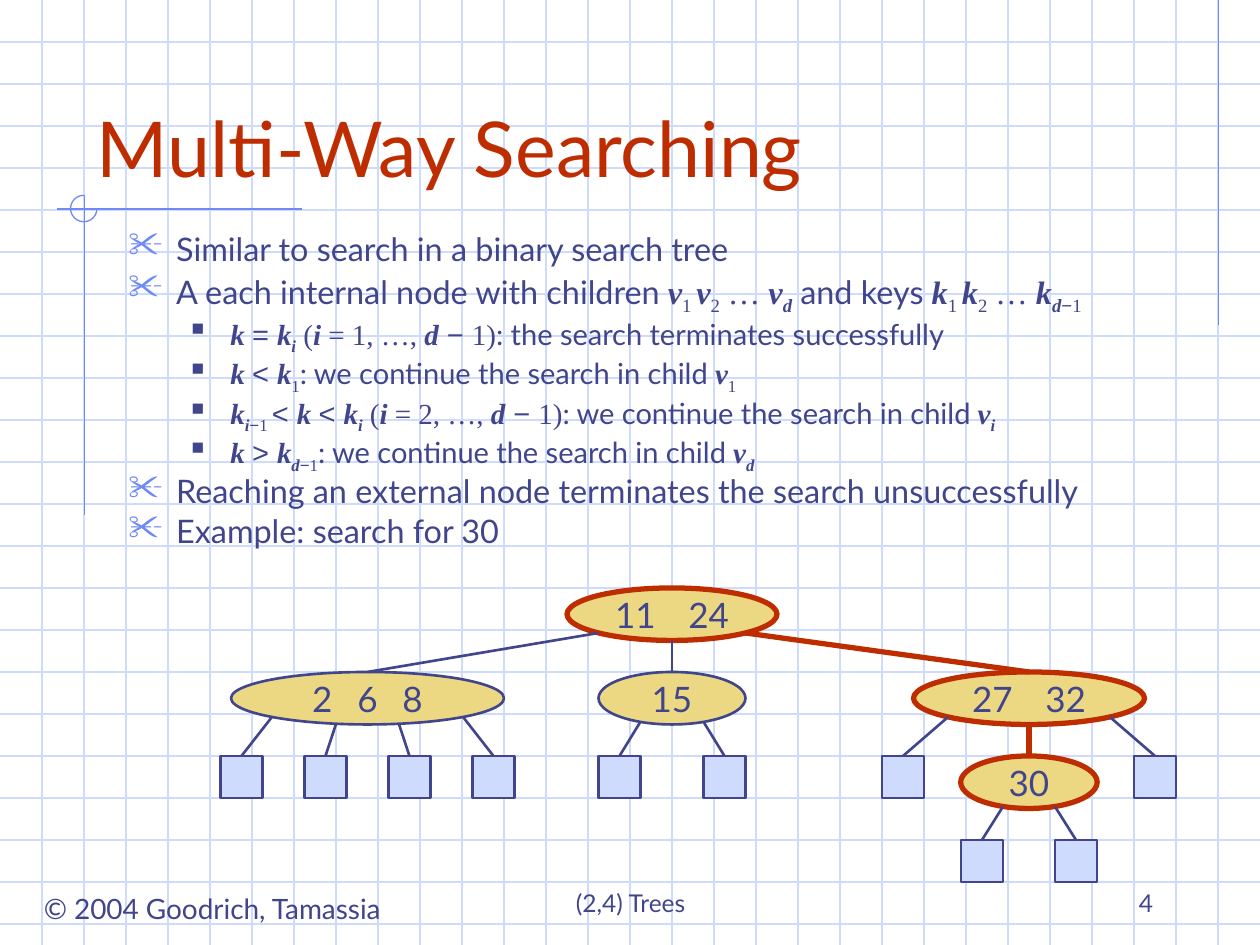
import math

import lxml.etree
import pptx
import pptx.dml.color
import pptx.enum.shapes
import pptx.enum.text
import pptx.oxml.ns
import pptx.util

Inches, Pt = pptx.util.Inches, pptx.util.Pt
ALIGN, ANCHOR = pptx.enum.text.PP_ALIGN, pptx.enum.text.MSO_ANCHOR
SHAPE = pptx.enum.shapes.MSO_SHAPE

# Content: text runs are (style, words)
TITLE = "Multi-Way Searching"
BODY = [
    (0, [("plain", "Similar to search in a binary search tree")]),
    (0, [("plain", "A each internal node with children "),
         ("var", "v"), ("sub", "1 "), ("var", "v"), ("sub", "2"), ("num", " … "),
         ("var", "v"), ("subvar", "d"), ("plain", " and keys "),
         ("var", "k"), ("sub", "1 "), ("var", "k"), ("sub", "2"), ("num", " … "),
         ("var", "k"), ("subvar", "d"), ("subop", "−"), ("sub", "1")]),
    (1, [("var", "k "), ("op", "= "), ("var", "k"), ("subvar", "i"), ("num", " ("),
         ("var", "i"), ("num", " = 1, …, "), ("var", "d"), ("op", " − "), ("num", "1)"),
         ("plain", ": the search terminates successfully")]),
    (1, [("var", "k "), ("op", "< "), ("var", "k"), ("sub", "1"),
         ("plain", ": we continue the search in child "), ("var", "v"), ("sub", "1")]),
    (1, [("var", "k"), ("subvar", "i"), ("subop", "−"), ("sub", "1 "), ("op", "< "),
         ("var", "k "), ("op", "< "), ("var", "k"), ("subvar", "i"), ("num", " ("),
         ("var", "i"), ("num", " = 2, …, "), ("var", "d"), ("op", " − "), ("num", "1)"),
         ("plain", ": we continue the search in child "), ("var", "v"), ("subvar", "i")]),
    (1, [("var", "k "), ("op", "> "), ("var", "k"), ("subvar", "d"), ("subop", "−"),
         ("sub", "1"), ("plain", ": we continue the search in child "),
         ("var", "v"), ("subvar", "d")]),
    (0, [("plain", "Reaching an external node terminates the search unsuccessfully")]),
    (0, [("plain", "Example: search for 30")]),
]


def node(keys, centre, width, searched, *children):
    return dict(keys=keys, centre=centre, width=width, searched=searched, children=children)


# Children are (where the edge leaves, as a share of the half width; subtree).
# Centres and widths are in grid columns; a bare number is an external node.
TREE = node(
    ["11", "24"], 16, 5, True,
    (-0.7, node(["2", "6", "8"], 8.75, 6.5, False,
                (-0.7, 5.75), (-0.23, 7.75), (0.23, 9.75), (0.7, 11.75))),
    (0, node(["15"], 16, 3.5, False, (-0.43, 14.75), (0.43, 17.25))),
    (0.7, node(["27", "32"], 24.5, 5.5, True,
               (-0.7, 21.5),
               (0, node(["30"], 24.5, 3.25, True, (-0.38, 23.38), (0.38, 25.62))),
               (0.7, 27.5))))
FOOTERS = [  # words, left, top, width, height, paragraph format, frame format
    ("© 2004 Goodrich, Tamassia", 0.16, 7.03, 3.05, 0.37, "copyright",
     dict(alignment=ALIGN.CENTER), dict(word_wrap=False)),
    ("(2,4) Trees", 3.42, 6.83, 3.17, 0.5, "footer",
     dict(alignment=ALIGN.CENTER), dict(word_wrap=True, vertical_anchor=ANCHOR.BOTTOM)),
    ("4", 7.17, 6.83, 2.08, 0.5, "footer",
     dict(alignment=ALIGN.RIGHT), dict(word_wrap=True, vertical_anchor=ANCHOR.BOTTOM)),
]

THEME = dict(
    ink="40458C", red="BE2D00", accent="6F89F7", pale="CFDBFD", gold="ECD882",
    font="Lato", math="Times New Roman", operator="Arial",
    title=44, levels=(18.5, 16.6), node=20, copyright=16, footer=14,
    hairline=0.75, edge=1.5, searched=3)
STYLES = {  # font, bold italic, subscript
    "plain": ("font", False, False), "num": ("math", False, False),
    "var": ("math", True, False), "op": ("operator", False, False),
    "sub": ("math", False, True), "subvar": ("math", True, True),
    "subop": ("operator", False, True)}
LEVELS = [  # left margin, hanging indent, space before, bullet, colour, percent
    (0.38, 0.38, 5, "✂", "accent", 110),
    (0.81, 0.31, 4.5, "■", "ink", 60)]

WIDTH, HEIGHT = 10, 7.5
CELL = 1 / 3
ROOT_ROW, ROWS_PER_LEVEL, ELLIPSE_ROWS = 14, 2, 1.25
GAP = {2: 1350, 3: 900}  # extra space between keys, in 1/100 point

deck = pptx.Presentation()
deck.slide_width, deck.slide_height = Inches(WIDTH), Inches(HEIGHT)
slide = deck.slides.add_slide(deck.slide_layouts[6])


def color(name):
    return pptx.dml.color.RGBColor.from_string(THEME[name])


def apply(target, values):
    for name, value in values.items():
        setattr(target, name, value)


def add_run(paragraph, words, size, ink="ink", style="plain"):
    face, strong, lowered = STYLES[style]
    run = paragraph.add_run()
    run.text = words
    apply(run.font, dict(name=THEME[face], size=Pt(size), bold=strong, italic=strong))
    run.font.color.rgb = color(ink)
    if lowered:
        run.font._element.set("baseline", "-25000")
    return run


def add_text(left, top, width, height, frame_format):
    box = slide.shapes.add_textbox(*map(Inches, (left, top, width, height)))
    apply(box.text_frame, frame_format)
    return box.text_frame


def add_line(x1, y1, x2, y2, ink, weight):
    line = slide.shapes.add_connector(
        pptx.enum.shapes.MSO_CONNECTOR.STRAIGHT, *map(Inches, (x1, y1, x2, y2)))
    line.line.color.rgb = color(ink)
    line.line.width = Pt(THEME[weight])
    lxml.etree.SubElement(line._element.spPr, pptx.oxml.ns.qn("a:effectLst"))
    return line


def add_figure(kind, left, top, width, height, fill, ink, weight):
    figure = slide.shapes.add_shape(kind, *map(Inches, (left, top, width, height)))
    figure.shadow.inherit = False
    if fill:
        figure.fill.solid()
        figure.fill.fore_color.rgb = color(fill)
    else:
        figure.fill.background()
    figure.line.color.rgb = color(ink)
    figure.line.width = Pt(THEME[weight])
    return figure


def add_bullet(paragraph, margin, hanging, char, ink, percent):
    props = paragraph._p.get_or_add_pPr()
    props.set("marL", str(Inches(margin)))
    props.set("indent", str(-Inches(hanging)))
    qn = pptx.oxml.ns.qn
    tint = lxml.etree.SubElement(props, qn("a:buClr"))
    lxml.etree.SubElement(tint, qn("a:srgbClr"), val=THEME[ink])
    lxml.etree.SubElement(props, qn("a:buSzPct"), val=str(percent * 1000))
    lxml.etree.SubElement(props, qn("a:buChar"), char=char)


def add_tree(tree, depth=0):
    """Draw a subtree and return the shape of its top node."""
    top = (ROOT_ROW + ROWS_PER_LEVEL * depth) * CELL
    if not isinstance(tree, dict):
        return add_figure(SHAPE.RECTANGLE, (tree - 0.5) * CELL, top, CELL, CELL,
                          "pale", "ink", "edge")
    centre, width, height = (n * CELL for n in (tree["centre"], tree["width"], ELLIPSE_ROWS))
    ink, weight = ("red", "searched") if tree["searched"] else ("ink", "edge")
    ellipse = add_figure(SHAPE.OVAL, centre - width / 2, top, width, height,
                         "gold", ink, weight)
    apply(ellipse.text_frame, dict(word_wrap=False, vertical_anchor=ANCHOR.MIDDLE))
    label = ellipse.text_frame.paragraphs[0]
    label.alignment = ALIGN.CENTER
    for i, key in enumerate(tree["keys"]):
        if i:
            gap = add_run(label, " ", THEME["node"])
            gap.font._element.set("spc", str(GAP[len(tree["keys"])]))
        add_run(label, key, THEME["node"])
    for share, child in tree["children"]:
        child_shape = add_tree(child, depth + 1)
        on_path = isinstance(child, dict) and child["searched"]
        x = centre + share * width / 2
        y = top + height / 2 * (1 + math.sqrt(1 - share ** 2))
        edge = add_line(x, y, x, y, *(("red", "searched") if on_path else ("ink", "edge")))
        edge.end_connect(child_shape, 0)
    return ellipse


# Graph paper
for row in range(1, math.ceil(HEIGHT / CELL)):
    add_line(0, row * CELL, WIDTH, row * CELL, "pale", "hairline")
for column in range(1, round(WIDTH / CELL)):
    add_line(column * CELL, 0, column * CELL, HEIGHT, "pale", "hairline")

# Margin rules and the open circle where they cross
for ends in [(9.67, 0, 9.67, 2.58), (2.4, 1.66, 0.45, 1.66), (0.67, 1.55, 0.67, 4.09)]:
    add_line(*ends, "accent", "hairline")
circle = add_figure(SHAPE.ARC, 0.56, 1.55, 0.21, 0.21, None, "accent", "hairline")
circle.adjustments[0], circle.adjustments[1] = 0, 162  # 0 to 270 degrees

# Footers
for words, left, top, width, height, size, paragraph_format, frame_format in FOOTERS:
    footer = add_text(left, top, width, height, frame_format).paragraphs[0]
    apply(footer, paragraph_format)
    add_run(footer, words, THEME[size])

# Title and body
heading = add_text(0.67, 0.33, 8.5, 1.25, dict(word_wrap=True, vertical_anchor=ANCHOR.BOTTOM))
add_run(heading.paragraphs[0], TITLE, THEME["title"], "red")
body = add_text(0.92, 1.83, 8.67, 2.92, dict(word_wrap=True))
for i, (level, runs) in enumerate(BODY):
    item = body.add_paragraph() if i else body.paragraphs[0]
    margin, hanging, before, *bullet = LEVELS[level]
    add_bullet(item, margin, hanging, *bullet)
    apply(item, dict(level=level, line_spacing=0.8, space_before=Pt(before if i else 0)))
    for style, words in runs:
        add_run(item, words, THEME["levels"][level], style=style)

# Search tree
add_tree(TREE)
deck.save("out.pptx")
